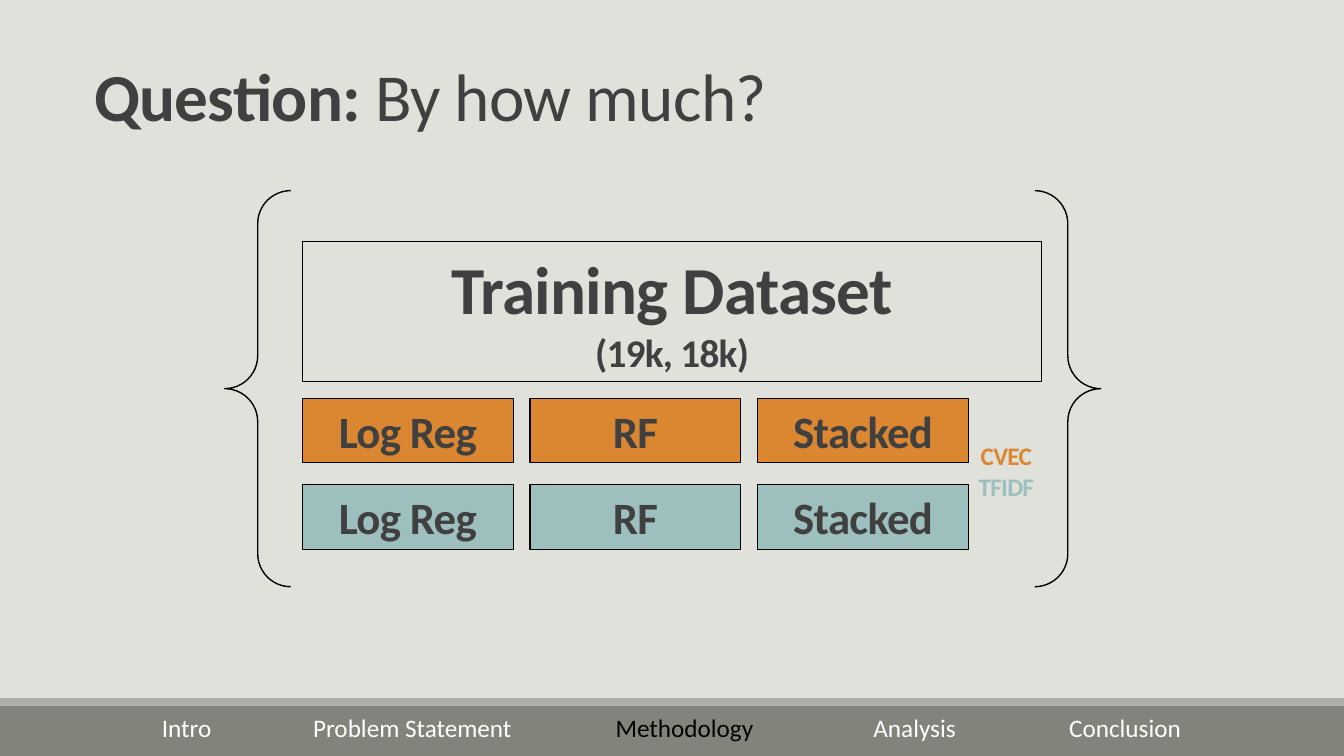
from dataclasses import dataclass

from lxml.etree import SubElement
from pptx import Presentation
from pptx.dml.color import RGBColor
from pptx.enum.shapes import MSO_SHAPE
from pptx.enum.text import MSO_ANCHOR, MSO_AUTO_SIZE, PP_ALIGN
from pptx.oxml.ns import qn
from pptx.util import Inches, Pt


@dataclass(frozen=True)
class Theme:
    font: str = "Calibri"
    background: str = "E1E1DB"
    ink: str = "404040"
    black: str = "000000"
    white: str = "FFFFFF"
    footer: str = "82847C"
    footer_edge: str = "ACADA8"
    cvec: str = "DB8631"
    tfidf: str = "9DBFBE"
    headline: int = 48
    model: int = 32
    count: int = 28
    small: int = 18
    tracking: float = -0.5


class Deck:
    COLUMNS, ROWS = 160, 90

    def __init__(self, theme):
        self.theme = theme
        self.presentation = Presentation()
        self.presentation.slide_width = Inches(13.33)
        self.presentation.slide_height = Inches(7.5)
        self.column = self.presentation.slide_width / self.COLUMNS
        self.row = self.presentation.slide_height / self.ROWS
        self.slide = self.presentation.slides.add_slide(self.presentation.slide_layouts[5])
        backdrop = self.slide.background.fill
        backdrop.solid()
        backdrop.fore_color.rgb = RGBColor.from_string(theme.background)

    def place(self, left, top, width, height):
        return (round(left * self.column), round(top * self.row),
                round(width * self.column), round(height * self.row))

    def typeset(self, frame, lines, align=PP_ALIGN.CENTER, anchor=MSO_ANCHOR.MIDDLE, spacing=None):
        settings = {"word_wrap": True, "auto_size": MSO_AUTO_SIZE.NONE, "vertical_anchor": anchor}
        for name, value in settings.items():
            setattr(frame, name, value)
        for index, line in enumerate(lines):
            paragraph = frame.add_paragraph() if index else frame.paragraphs[0]
            paragraph.alignment = align
            paragraph.line_spacing = spacing
            for words, size, color, bold, tracking in line:
                run = paragraph.add_run()
                run.text = words
                style = {"name": self.theme.font, "size": Pt(size), "bold": bold}
                for name, value in style.items():
                    setattr(run.font, name, value)
                run.font.color.rgb = RGBColor.from_string(color)
                run.font._element.set("spc", str(round(tracking * 100)))

    def strong(self, words, size, color=None):
        return words, size, color or self.theme.ink, True, self.theme.tracking

    def title(self, area, runs):
        heading = self.slide.shapes.title
        for name, value in zip(("left", "top", "width", "height"), self.place(*area)):
            setattr(heading, name, value)
        self.typeset(heading.text_frame, [runs], PP_ALIGN.LEFT, MSO_ANCHOR.TOP, 0.85)

    def shape(self, area, kind=MSO_SHAPE.RECTANGLE, fill=None, weight=None, lines=()):
        figure = self.slide.shapes.add_shape(kind, *self.place(*area))
        figure.shadow.inherit = False
        if fill:
            figure.fill.solid()
            figure.fill.fore_color.rgb = RGBColor.from_string(fill)
        else:
            figure.fill.background()
        if weight:
            figure.line.color.rgb = RGBColor.from_string(self.theme.black)
            figure.line.width = Pt(weight)
        else:
            figure.line.fill.background()
        self.typeset(figure.text_frame, lines)

    def text(self, area, lines, **layout):
        label = self.slide.shapes.add_textbox(*self.place(*area))
        self.typeset(label.text_frame, lines, **layout)
        return label

    def navigation(self, area, sections, current, stops):
        runs = [("\t" * bool(index) + section, self.theme.small,
                 self.theme.black if section == current else self.theme.white, False, 0)
                for index, section in enumerate(sections)]
        menu = self.text(area, [runs], align=PP_ALIGN.LEFT, anchor=MSO_ANCHOR.TOP)
        properties = menu.text_frame.paragraphs[0]._p.get_or_add_pPr()
        tabs = SubElement(properties, qn("a:tabLst"))
        for stop in stops:
            SubElement(tabs, qn("a:tab"), pos=str(round(stop * self.column)), algn="l")


theme = Theme()
deck = Deck(theme)

deck.shape((0, 84, deck.COLUMNS, 6), fill=theme.footer)
deck.shape((0, 83.1, deck.COLUMNS, 0.9), fill=theme.footer_edge)
deck.navigation((18.1, 84.2, 130, 4.8),
                ["Intro", "Problem Statement", "Methodology", "Analysis", "Conclusion"],
                "Methodology", [18, 54, 84.7, 108])

deck.title((10, 7.3, 126.6, 13.3),
           [deck.strong("Question: ", theme.headline),
            ("By how much?", theme.headline, theme.ink, False, theme.tracking)])

dataset_left, model_width, model_pitch = 36, 25.1, 27.1
deck.shape((dataset_left, 28.8, 88, 16.6), weight=0.75,
           lines=[[deck.strong("Training Dataset", theme.headline)],
                  [deck.strong("(19k, 18k)", theme.count)]])

models = ["Log Reg", "RF", "Stacked"]
vectorizers = {"CVEC": theme.cvec, "TFIDF": theme.tfidf}
for level, color in enumerate(vectorizers.values()):
    for position, model in enumerate(models):
        deck.shape((dataset_left + position * model_pitch, 47.4 + level * 10.3, model_width, 7.7),
                   fill=color, weight=0.75, lines=[[deck.strong(model, theme.model)]])

deck.shape((26.75, 22.7, 104.3, 47.15), MSO_SHAPE.DOUBLE_BRACE, weight=1)
deck.text((113.9, 51.8, 11.8, 8.5),
          [[deck.strong(name, theme.small, color)] for name, color in vectorizers.items()])

deck.presentation.save("out.pptx")
